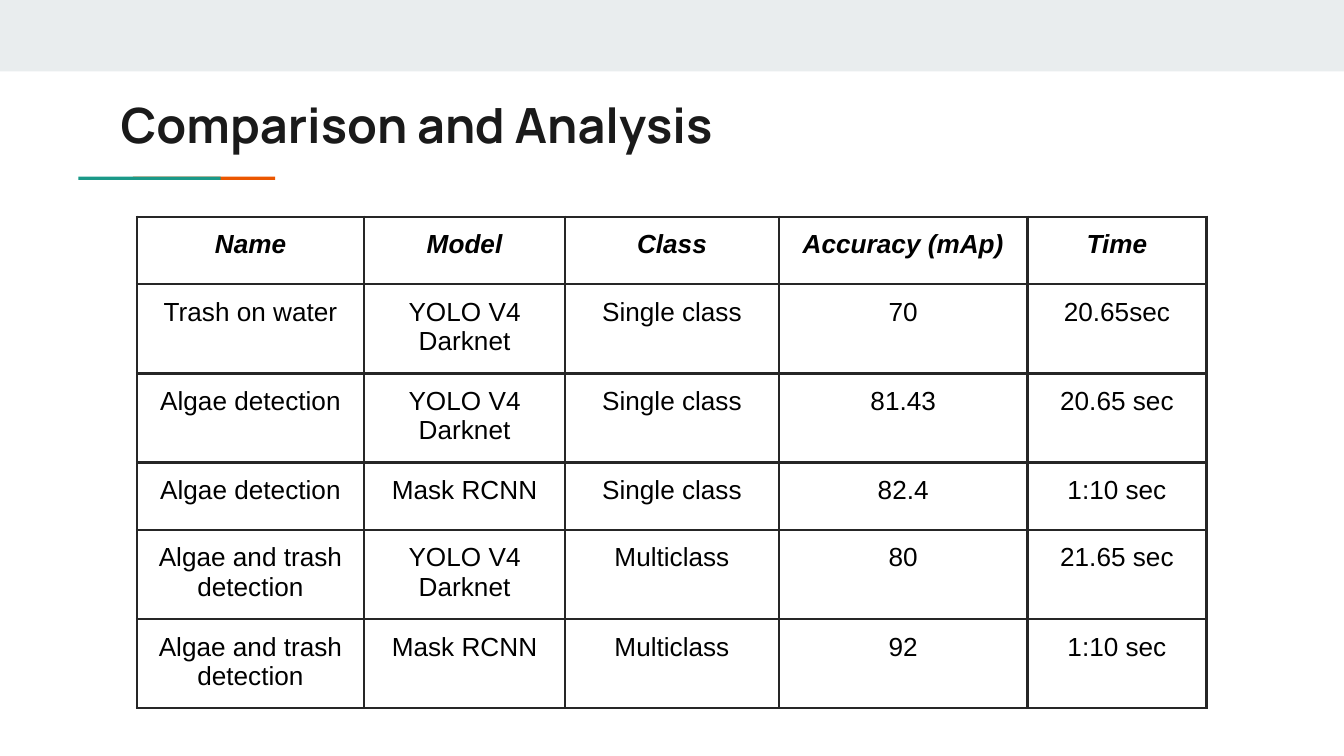
from dataclasses import dataclass

from lxml.etree import SubElement
from pptx import Presentation
from pptx.dml.color import RGBColor
from pptx.enum.shapes import MSO_SHAPE as Preset
from pptx.enum.text import MSO_ANCHOR as Anchor, PP_ALIGN as Align
from pptx.oxml.ns import qn
from pptx.slide import Slide
from pptx.table import _Cell as Cell
from pptx.text.text import TextFrame
from pptx.util import Cm, Pt

COLORS = {
    "band": "E9EDEE",
    "orange": "EB5600",
    "teal": "1A9988",
    "title": "1A1A1A",
    "body": "000000",
    "border": "262626",
}
INSET = Cm(0.25)
BORDER_WIDTH = Pt(1.5)


@dataclass(frozen=True)
class Bar:
    left: float
    top: float
    width: float
    height: float
    color: str


@dataclass(frozen=True)
class Column:
    heading: str
    width: float


BARS = [
    Bar(0, 0, 25.4, 1.35, "band"),
    Bar(2.51, 3.34, 2.69, 0.06, "orange"),
    Bar(1.48, 3.34, 2.69, 0.06, "teal"),
]
COLUMNS = [
    Column("Name", 4.29),
    Column("Model", 3.8),
    Column("Class", 4.04),
    Column("Accuracy (mAp)", 4.7),
    Column("Time", 3.38),
]
RESULTS = [
    ("Trash on water", "YOLO V4 Darknet", "Single class", "70", "20.65sec"),
    ("Algae detection", "YOLO V4 Darknet", "Single class", "81.43", "20.65 sec"),
    ("Algae detection", "Mask RCNN", "Single class", "82.4", "1:10 sec"),
    ("Algae and trash detection", "YOLO V4 Darknet", "Multiclass", "80", "21.65 sec"),
    ("Algae and trash detection", "Mask RCNN", "Multiclass", "92", "1:10 sec"),
]
ROW_HEIGHTS = [1.27, 1.65, 1.65, 1.27, 1.65, 1.6]


def write_text(frame: TextFrame, text: str, *, font: str = "Arial", size: float = 14,
               color: str = "body", bold: bool = False, italic: bool = False,
               align: Align = Align.CENTER) -> None:
    """Write one formatted paragraph into a text frame."""
    paragraph = frame.paragraphs[0]
    paragraph.alignment = align
    run = paragraph.add_run()
    run.text = text
    run.font.name = font
    run.font.size = Pt(size)
    run.font.bold = bold
    run.font.italic = italic
    run.font.color.rgb = RGBColor.from_string(COLORS[color])


def draw_bar(slide: Slide, bar: Bar) -> None:
    """Draw a plain filled rectangle."""
    rectangle = slide.shapes.add_shape(
        Preset.RECTANGLE, Cm(bar.left), Cm(bar.top), Cm(bar.width), Cm(bar.height))
    rectangle.shadow.inherit = False
    rectangle.fill.solid()
    rectangle.fill.fore_color.rgb = RGBColor.from_string(COLORS[bar.color])
    rectangle.line.fill.background()


def draw_title(slide: Slide, text: str) -> None:
    """Draw the slide title."""
    frame = slide.shapes.add_textbox(Cm(2.03), Cm(1.55), Cm(21.36), Cm(1.5)).text_frame
    frame.word_wrap = True
    frame.vertical_anchor = Anchor.TOP
    frame.margin_left = frame.margin_right = INSET
    frame.margin_top = frame.margin_bottom = INSET
    write_text(frame, text, font="Manrope", size=26, color="title", bold=True,
               align=Align.LEFT)


def style_cell(cell: Cell) -> None:
    """Give a cell its borders, insets and clear fill."""
    properties = cell._tc.get_or_add_tcPr()
    for side in ("lnL", "lnR", "lnT", "lnB"):
        line = SubElement(properties, qn(f"a:{side}"), w=str(BORDER_WIDTH))
        fill = SubElement(line, qn("a:solidFill"))
        SubElement(fill, qn("a:srgbClr"), val=COLORS["border"])
    cell.fill.background()
    cell.margin_left = cell.margin_right = INSET
    cell.margin_top = cell.margin_bottom = INSET
    cell.vertical_anchor = Anchor.TOP


def draw_comparison(slide: Slide) -> None:
    """Draw the table that compares the detection models."""
    rows = [tuple(column.heading for column in COLUMNS), *RESULTS]
    table = slide.shapes.add_table(
        len(rows), len(COLUMNS), Cm(2.59), Cm(4.1),
        Cm(sum(column.width for column in COLUMNS)), Cm(sum(ROW_HEIGHTS))).table
    table.horz_banding = False
    table.first_row = False
    for index, column in enumerate(COLUMNS):
        table.columns[index].width = Cm(column.width)
    for row_index, (values, height) in enumerate(zip(rows, ROW_HEIGHTS)):
        table.rows[row_index].height = Cm(height)
        is_heading = row_index == 0
        for column_index, value in enumerate(values):
            cell = table.cell(row_index, column_index)
            style_cell(cell)
            write_text(cell.text_frame, value, bold=is_heading, italic=is_heading)


def main() -> None:
    """Build and save the slide."""
    presentation = Presentation()
    presentation.slide_width = Cm(25.4)
    presentation.slide_height = Cm(14.29)
    slide = presentation.slides.add_slide(presentation.slide_layouts[6])
    for bar in BARS:
        draw_bar(slide, bar)
    draw_title(slide, "Comparison and Analysis")
    draw_comparison(slide)
    presentation.save("out.pptx")


if __name__ == "__main__":
    main()
